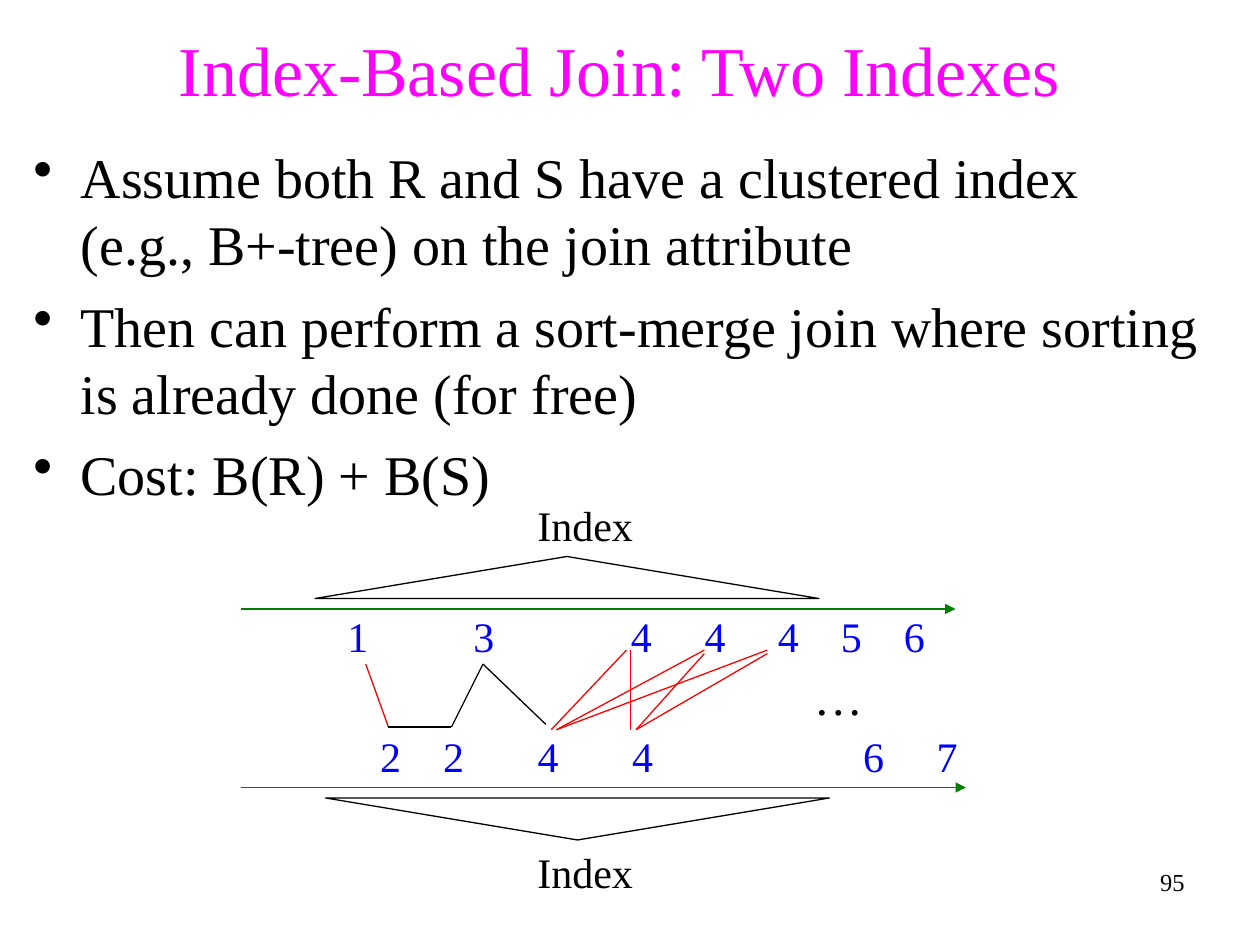
from lxml import etree
from pptx import Presentation
from pptx.dml.color import RGBColor
from pptx.enum.shapes import MSO_CONNECTOR, MSO_SHAPE
from pptx.enum.text import MSO_ANCHOR, PP_ALIGN
from pptx.oxml.ns import qn
from pptx.util import Pt

BLACK, MAGENTA, BLUE, GREEN, RED = "000000", "FF00FF", "0000FF", "008000", "FF0000"
MATCH_BOTTOM = 417


def rgb(color):
    return RGBColor.from_string(color)


def add_text(slide, box, lines, size, color=BLACK, align=PP_ALIGN.LEFT,
             anchor=MSO_ANCHOR.TOP, wrap=True):
    frame = slide.shapes.add_textbox(*map(Pt, box)).text_frame
    frame.word_wrap = wrap
    frame.vertical_anchor = anchor
    frame.text = "\n".join(lines)
    for paragraph in frame.paragraphs:
        paragraph.alignment = align
        for run in paragraph.runs:
            run.font.name = "Times New Roman"
            run.font.size = Pt(size)
            run.font.color.rgb = rgb(color)
    return frame


def add_bullets(slide, box, lines):
    frame = add_text(slide, box, lines, 32)
    for number, paragraph in enumerate(frame.paragraphs):
        if number:
            paragraph.space_before = Pt(8)
        properties = paragraph._p.get_or_add_pPr()
        properties.set("marL", str(Pt(27)))
        properties.set("indent", str(-Pt(27)))
        bullet = etree.SubElement(properties, qn("a:buChar"))
        bullet.set("char", "•")


def add_keys(slide, left, top, keys, offsets):
    """Write the keys on one line, each after the first at its own tab stop."""
    frame = add_text(slide, (left, top, 360, 36), ["\t".join(keys)], 24, BLUE,
                     anchor=MSO_ANCHOR.MIDDLE)
    properties = frame.paragraphs[0]._p.get_or_add_pPr()
    tabs = etree.SubElement(properties, qn("a:tabLst"))
    for offset in offsets:
        tab = etree.SubElement(tabs, qn("a:tab"))
        tab.set("pos", str(Pt(offset)))
        tab.set("algn", "l")


def add_line(slide, start, end, color, arrow=False):
    line = slide.shapes.add_connector(MSO_CONNECTOR.STRAIGHT, *map(Pt, start + end))
    line.line.color.rgb = rgb(color)
    line.line.width = Pt(0.75)
    if arrow:
        head = etree.SubElement(line.line._get_or_add_ln(), qn("a:tailEnd"))
        head.set("type", "triangle")
    etree.SubElement(line._element.spPr, qn("a:effectLst"))


def add_index(slide, left, top, label_top, rotation=0):
    triangle = slide.shapes.add_shape(MSO_SHAPE.ISOSCELES_TRIANGLE,
                                      Pt(left), Pt(top), Pt(288), Pt(24))
    triangle.rotation = rotation
    triangle.shadow.inherit = False
    triangle.fill.background()
    triangle.line.color.rgb = rgb(BLACK)
    triangle.line.width = Pt(0.75)
    add_text(slide, (300, label_top, 69, 36), ["Index"], 24,
             anchor=MSO_ANCHOR.MIDDLE, wrap=False)


def add_merge_path(slide):
    stops = [(209, 379.5), (222, 415.5), (258, 415.5), (276, 379.5), (312, 414)]
    for start, end, color in zip(stops, stops[1:], [RED, BLACK, BLACK, BLACK]):
        add_line(slide, start, end, color)


def add_matches(slide):
    """Join each of the two lower 4s to each of the three upper 4s."""
    matches = [
        (315, 358, 371.5), (318, 402.5, 371.5), (318, 438.5, 371.5),
        (360.5, 360.5, 371.5), (363.5, 402.5, 373.5), (363.5, 438.5, 373.5),
    ]
    for lower_x, upper_x, upper_y in matches:
        add_line(slide, (lower_x, MATCH_BOTTOM), (upper_x, upper_y), RED)


def main():
    presentation = Presentation()
    presentation.slide_width, presentation.slide_height = Pt(720), Pt(540)
    slide = presentation.slides.add_slide(presentation.slide_layouts[6])

    add_text(slide, (12, 12, 684, 54), ["Index-Based Join: Two Indexes"], 40,
             MAGENTA, PP_ALIGN.CENTER, MSO_ANCHOR.MIDDLE)
    add_bullets(slide, (12, 78, 684, 426), [
        "Assume both R and S have a clustered index (e.g., B+-tree) on the join attribute",
        "Then can perform a sort-merge join where sorting is already done (for free)",
        "Cost: B(R) + B(S)",
    ])

    add_line(slide, (138, 348), (546, 348), GREEN, arrow=True)
    add_line(slide, (138, 450), (552, 450), GREEN, arrow=True)
    add_index(slide, 180, 318, label_top=282)
    add_index(slide, 186, 456, label_top=480, rotation=180)

    add_keys(slide, 191.5, 345.5, "1344456", [72, 162, 204, 246, 282, 318])
    add_keys(slide, 210.2, 414, "224467", [36, 90, 144, 276, 318])
    add_merge_path(slide)
    add_matches(slide)
    add_text(slide, (458, 377.5, 42.5, 41), ["…"], 28, wrap=False)
    add_text(slide, (534, 492, 150, 36), ["95"], 14, align=PP_ALIGN.RIGHT)

    presentation.save("out.pptx")


if __name__ == "__main__":
    main()
